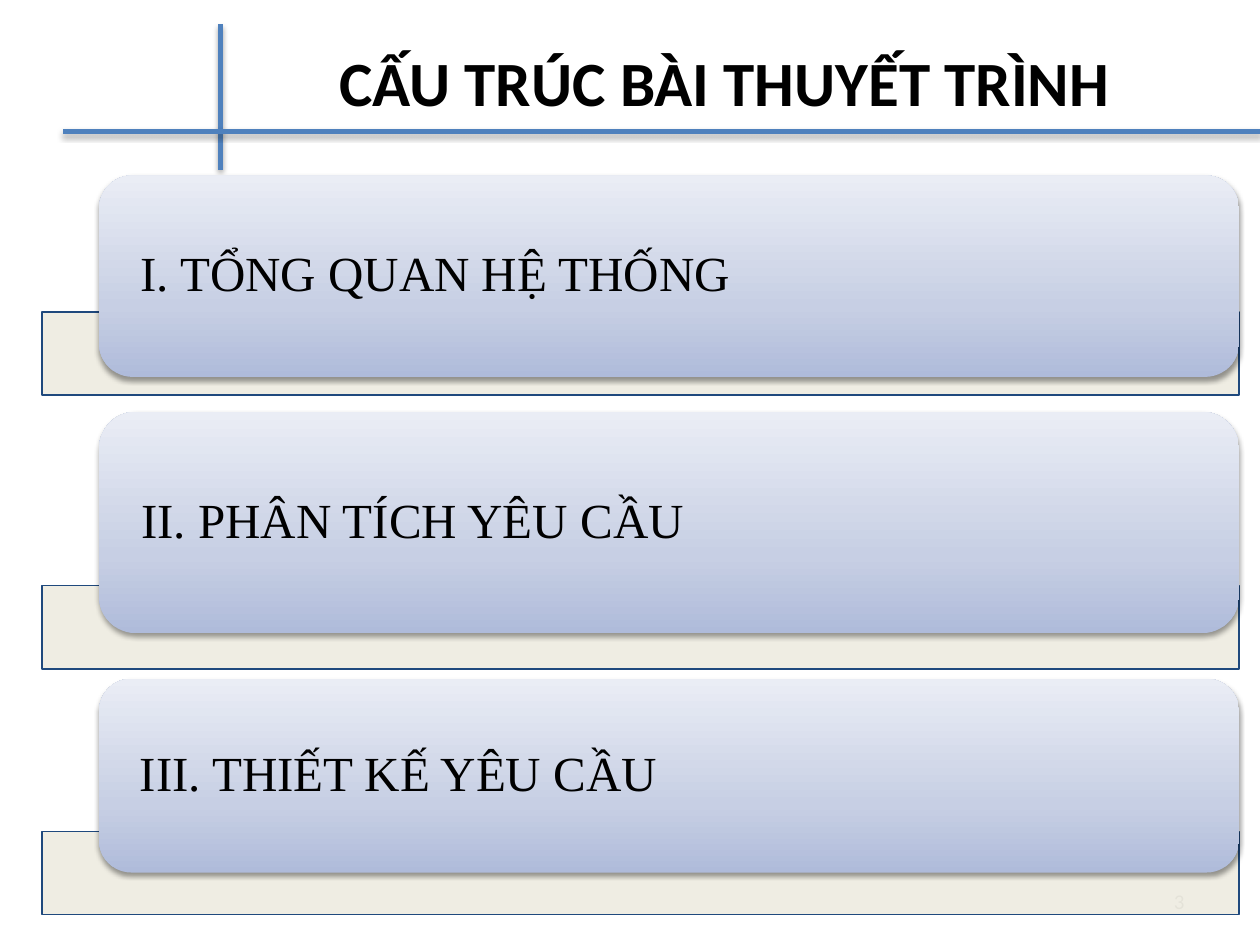
import pptx
import pptx.util
import pptx.oxml
import pptx.oxml.ns
import pptx.dml.color
import pptx.enum.shapes
import pptx.enum.text

Pt = pptx.util.Pt
SHAPE = pptx.enum.shapes.MSO_SHAPE
ALIGN = pptx.enum.text.PP_ALIGN
qn = pptx.oxml.ns.qn
SPACE = 'xmlns:a="http://schemas.openxmlformats.org/drawingml/2006/main"'

TITLE = "CẤU TRÚC BÀI THUYẾT TRÌNH"
PAGE = "3"
PARTS = [
    {"text": "I. TỔNG QUAN HỆ THỐNG", "card": (100.2, 115.2), "bar": 178.3},
    {"text": "II. PHÂN TÍCH YÊU CẦU", "card": (235.3, 126.5), "bar": 334.8},
    {"text": "III. THIẾT KẾ YÊU CẦU", "card": (387.9, 110.7), "bar": 475.3},
]
RULES = [(126, 14, 126, 97), (36, 75, 720, 75)]
THEME = {
    "ink": "000000", "rule": "4F81BD", "page": "8C8C8C",
    "bar": "EEECE1", "edge": "1F497D",
    "fade": [(0, "AFBBDA"), (35, "C7CFE4"), (100, "EAEDF5")],
    "head": "Calibri", "body": "Times New Roman",
    "big": 36, "mid": 28, "small": 12,
}
BAR = {"left": 24, "width": 684, "height": 47.5}
CARD = {"left": 56.6, "width": 651.4}


def tint(code):
    return pptx.dml.color.RGBColor.from_string(code)


def write(shape, text, font, size, color, align=ALIGN.LEFT, bold=False,
          pad=(7.2, 3.6), lead=None):
    frame = shape.text_frame
    frame.word_wrap = True
    frame.vertical_anchor = pptx.enum.text.MSO_ANCHOR.MIDDLE
    frame.margin_left = frame.margin_right = Pt(pad[0])
    frame.margin_top = frame.margin_bottom = Pt(pad[1])
    para = frame.paragraphs[0]
    para.alignment = align
    if lead:
        para.line_spacing = lead
    run = para.add_run()
    run.text = text
    run.font.name = font
    run.font.size = Pt(size)
    run.font.bold = bold
    run.font.color.rgb = tint(color)


def shade(shape, alpha, blur, dist):
    props = shape._element.spPr
    for old in props.findall(qn("a:effectLst")):
        props.remove(old)
    props.append(pptx.oxml.parse_xml(
        f'<a:effectLst {SPACE}><a:outerShdw blurRad="{Pt(blur)}" '
        f'dist="{Pt(dist)}" dir="5400000" rotWithShape="0">'
        f'<a:srgbClr val="000000"><a:alpha val="{alpha * 1000}"/></a:srgbClr>'
        '</a:outerShdw></a:effectLst>'))


def blend(shape, stops):
    shape.fill.gradient()
    shape.fill.gradient_angle = 90
    old = shape._element.spPr.find(qn("a:gradFill")).find(qn("a:gsLst"))
    marks = "".join(
        f'<a:gs pos="{pos * 1000}"><a:srgbClr val="{code}"/></a:gs>'
        for pos, code in stops)
    new = pptx.oxml.parse_xml(f'<a:gsLst {SPACE}>{marks}</a:gsLst>')
    old.getparent().replace(old, new)


def add_rule(slide, ends):
    rule = slide.shapes.add_connector(
        pptx.enum.shapes.MSO_CONNECTOR.STRAIGHT, *map(Pt, ends))
    rule.line.color.rgb = tint(THEME["rule"])
    rule.line.width = Pt(3)
    shade(rule, 35, 3.1, 1.8)


def add_bar(slide, top):
    bar = slide.shapes.add_shape(
        SHAPE.RECTANGLE, Pt(BAR["left"]), Pt(top),
        Pt(BAR["width"]), Pt(BAR["height"]))
    bar.shadow.inherit = False
    bar.fill.solid()
    bar.fill.fore_color.rgb = tint(THEME["bar"])
    color = bar._element.spPr.find(qn("a:solidFill"))[0]
    color.append(pptx.oxml.parse_xml(f'<a:alpha {SPACE} val="90000"/>'))
    bar.line.color.rgb = tint(THEME["edge"])
    bar.line.width = Pt(0.75)


def add_card(slide, text, top, height):
    card = slide.shapes.add_shape(
        SHAPE.ROUNDED_RECTANGLE, Pt(CARD["left"]), Pt(top),
        Pt(CARD["width"]), Pt(height))
    blend(card, THEME["fade"])
    card.line.fill.background()
    shade(card, 38, 3.1, 1.6)
    write(card, text, THEME["body"], THEME["mid"], THEME["ink"],
          pad=(18, 0), lead=0.9)


def main():
    deck = pptx.Presentation()
    deck.slide_width, deck.slide_height = Pt(720), Pt(540)
    slide = deck.slides.add_slide(deck.slide_layouts[5])
    for ends in RULES:
        add_rule(slide, ends)
    title = slide.shapes.title
    title.left, title.top, title.width, title.height = map(
        Pt, (120, 1.5, 588, 90))
    write(title, TITLE, THEME["head"], THEME["big"], THEME["ink"],
          align=ALIGN.CENTER, bold=True)
    page = slide.shapes.add_textbox(*map(Pt, (516, 500.5, 168, 28.75)))
    write(page, PAGE, THEME["head"], THEME["small"], THEME["page"],
          align=ALIGN.RIGHT)
    for part in PARTS:
        add_bar(slide, part["bar"])
        add_card(slide, part["text"], *part["card"])
    deck.save("out.pptx")


if __name__ == "__main__":
    main()
